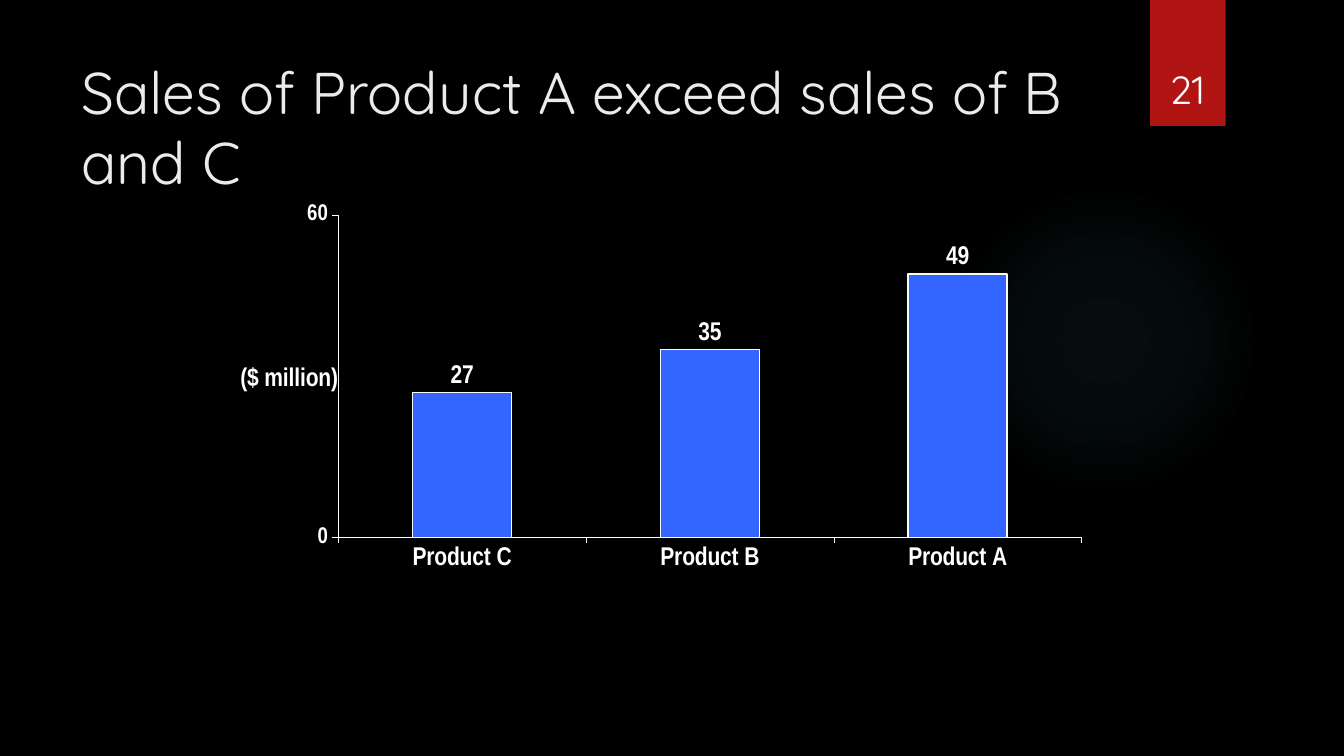
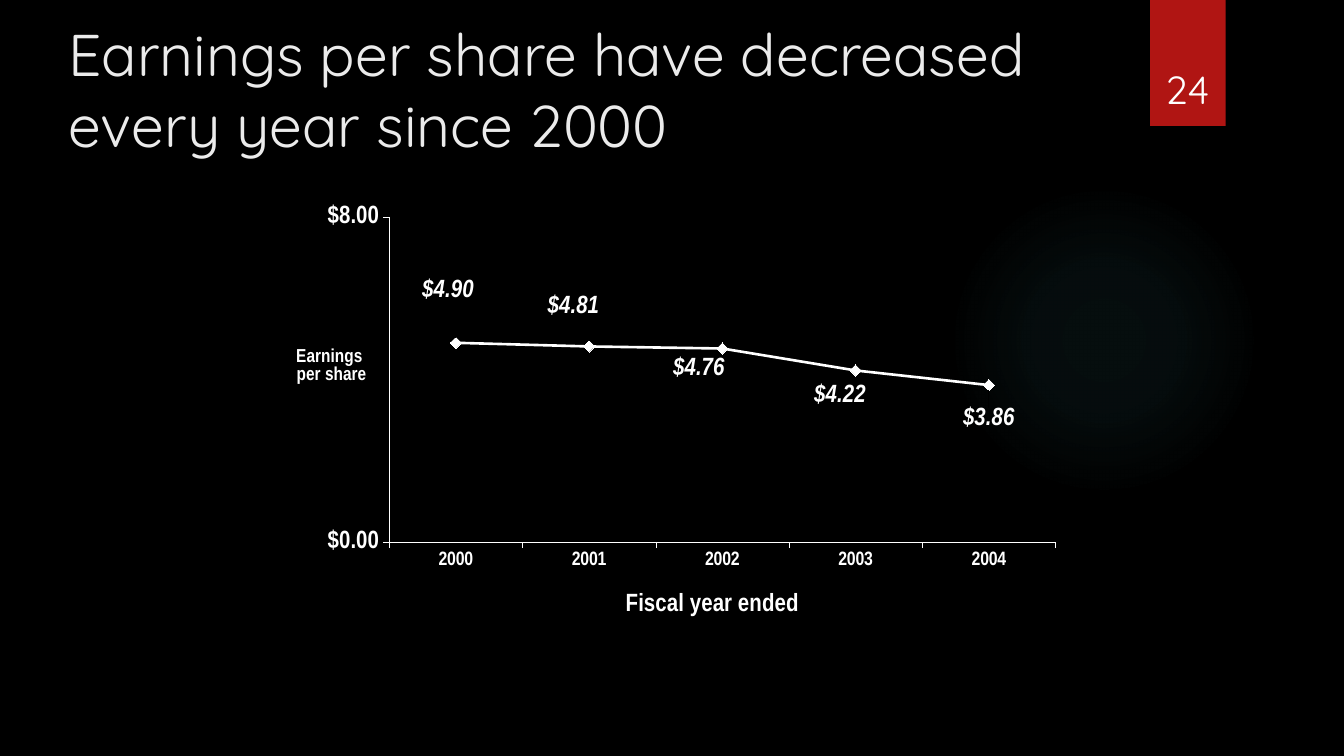
from dataclasses import dataclass

from lxml import etree
from pptx import Presentation
from pptx import util as u
from pptx.chart import data as chart_data
from pptx.dml.color import RGBColor
from pptx.enum import chart as ch
from pptx.enum import shapes, text
from pptx.oxml import parse_xml
from pptx.oxml.ns import nsdecls, qn

COLORS = {
    "background": "000000", "title": "EBEBEB", "white": "FFFFFF",
    "band": "B01513", "glow": "50B9C1", "bar": "3366FF",
}
HEAD_FONT, CHART_FONT = "Quicksand", "Arial Narrow"
GLOW_STOPS = ((0, 7), (36, 6), (69, 0))  # position and opacity, percent
DOLLARS = '"$"#,##0.00'


@dataclass(frozen=True)
class Box:
    left: float
    top: float
    width: float
    height: float

    def points(self) -> tuple:
        return tuple(u.Pt(v) for v in (self.left, self.top, self.width, self.height))


@dataclass(frozen=True)
class AxisTitle:
    wording: str
    size: float
    x: float
    y: float


@dataclass(frozen=True)
class AxisStyle:
    size: float
    line: float
    title: AxisTitle | None = None


@dataclass(frozen=True)
class PointLabel:
    position: ch.XL_LABEL_POSITION
    dx: float
    dy: float


@dataclass(frozen=True)
class ChartStyle:
    kind: ch.XL_CHART_TYPE
    box: Box
    plot: Box  # fractions of the chart
    categories: tuple
    values: tuple
    number_format: str
    maximum: float
    category_axis: AxisStyle
    value_axis: AxisStyle
    label_size: float


def rgb(name: str) -> RGBColor:
    return RGBColor.from_string(COLORS[name])


def style_font(font, name: str, size: float, color: str, bold: bool = False) -> None:
    font.name, font.size, font.bold = name, u.Pt(size), bold
    font.color.rgb = rgb(color)


# Shared page parts
def add_plain_shape(page, kind, box: Box):
    shape = page.shapes.add_shape(kind, *box.points())
    shape.shadow.inherit = False
    shape.line.fill.background()
    return shape


def add_text(page, box: Box, wording: str, size: float, color: str,
             anchor=text.MSO_ANCHOR.TOP, align=text.PP_ALIGN.LEFT) -> None:
    frame = page.shapes.add_textbox(*box.points()).text_frame
    frame.word_wrap = True
    frame.vertical_anchor = anchor
    frame.text = wording
    para = frame.paragraphs[0]
    para.alignment = align
    style_font(para.runs[0].font, HEAD_FONT, size, color)


def add_glow(page) -> None:
    glow = add_plain_shape(page, shapes.MSO_SHAPE.OVAL, Box(677.5, 131.8, 221.8, 221.8))
    glow.fill.background()
    stops = "".join(
        f'<a:gs pos="{position * 1000}"><a:srgbClr val="{COLORS["glow"]}">'
        f'<a:alpha val="{opacity * 1000}"/></a:srgbClr></a:gs>'
        for position, opacity in GLOW_STOPS)
    gradient = parse_xml(
        f'<a:gradFill {nsdecls("a")} rotWithShape="1"><a:gsLst>{stops}</a:gsLst>'
        '<a:path path="circle"><a:fillToRect l="50000" t="50000" r="50000" b="50000"/>'
        '</a:path></a:gradFill>')
    properties = glow.element.spPr
    properties.replace(properties.find(qn("a:noFill")), gradient)


def add_page(deck, title: str, title_left: float, title_top: float, number: int):
    page = deck.slides.add_slide(deck.slide_layouts[6])
    page.background.fill.solid()
    page.background.fill.fore_color.rgb = rgb("background")
    add_glow(page)
    band = add_plain_shape(page, shapes.MSO_SHAPE.RECTANGLE, Box(821.5, 0, 54, 90))
    band.fill.solid()
    band.fill.fore_color.rgb = rgb("band")
    add_text(page, Box(title_left, title_top, 740.9, 110.2), title, 42, "title")
    add_text(page, Box(815, 23, 66.2, 60.5), str(number), 28, "white",
             text.MSO_ANCHOR.BOTTOM, text.PP_ALIGN.CENTER)
    return page


# Chart parts
def set_layout(parent, index: int, **settings) -> None:
    for old in parent.findall(qn("c:layout")):
        parent.remove(old)
    layout = etree.Element(qn("c:layout"))
    manual = etree.SubElement(layout, qn("c:manualLayout"))
    for tag, value in settings.items():
        etree.SubElement(manual, qn(f"c:{tag}")).set("val", str(value))
    parent.insert(index, layout)


def style_axis(axis, style: AxisStyle) -> None:
    axis.has_major_gridlines = False
    axis.major_tick_mark = ch.XL_TICK_MARK.OUTSIDE
    axis.minor_tick_mark = ch.XL_TICK_MARK.NONE
    style_font(axis.tick_labels.font, CHART_FONT, style.size, "white", True)
    axis.format.line.color.rgb = rgb("white")
    axis.format.line.width = u.Pt(style.line)
    if style.title is None:
        axis.has_title = False
        return
    frame = axis.axis_title.text_frame
    frame.text = style.title.wording
    for para in frame.paragraphs:
        for span in para.runs:
            style_font(span.font, CHART_FONT, style.title.size, "white", True)
    body = frame._txBody.find(qn("a:bodyPr"))
    body.set("rot", "0")
    body.set("vert", "horz")
    set_layout(axis.axis_title._element, 1, xMode="edge", yMode="edge",
               x=style.title.x, y=style.title.y)


def add_styled_chart(page, style: ChartStyle):
    data = chart_data.CategoryChartData(number_format=style.number_format)
    data.categories = style.categories
    data.add_series("Series 1", style.values)
    chart = page.shapes.add_chart(style.kind, *style.box.points(), data).chart
    chart.has_legend = chart.has_title = False
    style_font(chart.font, CHART_FONT, style.label_size, "white", True)
    area = chart._chartSpace.chart.plotArea
    set_layout(area, 0, layoutTarget="inner", xMode="edge", yMode="edge",
               x=style.plot.left, y=style.plot.top, w=style.plot.width, h=style.plot.height)
    style_axis(chart.category_axis, style.category_axis)
    style_axis(chart.value_axis, style.value_axis)
    scale = chart.value_axis
    scale.minimum_scale, scale.maximum_scale = 0, style.maximum
    scale.major_unit = style.maximum
    scale.tick_labels.number_format = style.number_format
    scale.tick_labels.number_format_is_linked = False
    chart.plots[0].vary_by_categories = False
    series = chart.plots[0].series[0]
    labels = series.data_labels
    labels.show_value = True
    labels.number_format = style.number_format
    labels.number_format_is_linked = False
    style_font(labels.font, CHART_FONT, style.label_size, "white", True)
    return chart, series


# Slides
def add_sales_page(deck) -> None:
    page = add_page(deck, "Sales of Product A exceed sales of B and C", 51.1, 36, 21)
    chart, series = add_styled_chart(page, ChartStyle(
        kind=ch.XL_CHART_TYPE.COLUMN_CLUSTERED,
        box=Box(162, 131.8, 631.4, 340.6), plot=Box(0.126, 0.064, 0.841, 0.676),
        categories=("Product C", "Product B", "Product A"), values=(27, 35, 49),
        number_format="General", maximum=60,
        category_axis=AxisStyle(18.3, 0.25),
        value_axis=AxisStyle(16.2, 0.25, AxisTitle("($ million)", 18.3, 0.01, 0.37)),
        label_size=18.3))
    chart.plots[0].gap_width = 150
    series.data_labels.position = ch.XL_LABEL_POSITION.OUTSIDE_END
    series.format.fill.solid()
    series.format.fill.fore_color.rgb = rgb("bar")
    series.format.line.color.rgb = rgb("white")
    series.format.line.width = u.Pt(1)


def add_earnings_page(deck) -> None:
    page = add_page(deck, "Earnings per share have decreased every year since 2000",
                    41.8, 9.4, 24)
    _, series = add_styled_chart(page, ChartStyle(
        kind=ch.XL_CHART_TYPE.LINE_MARKERS,
        box=Box(203.8, 131.8, 558, 315.4), plot=Box(0.133, 0.073, 0.853, 0.737),
        categories=("2000", "2001", "2002", "2003", "2004"),
        values=(4.9, 4.81, 4.76, 4.22, 3.86), number_format=DOLLARS, maximum=8,
        category_axis=AxisStyle(13.8, 0.23, AxisTitle("Fiscal year ended", 17.8, 0.43, 0.91)),
        value_axis=AxisStyle(17.8, 0.23, AxisTitle("Earnings \nper share", 13.4, 0.01, 0.36)),
        label_size=17.8))
    series.smooth = False
    series.format.line.color.rgb = rgb("white")
    series.format.line.width = u.Pt(1.88)
    series.marker.style, series.marker.size = ch.XL_MARKER_STYLE.DIAMOND, 8
    series.marker.format.fill.solid()
    series.marker.format.fill.fore_color.rgb = rgb("title")
    series.marker.format.line.color.rgb = rgb("white")
    series.data_labels.font.italic = True

    # Labels moved off the line, as fractions of the chart
    above, below = ch.XL_LABEL_POSITION.ABOVE, ch.XL_LABEL_POSITION.BELOW
    placements = (
        PointLabel(above, -0.01, -0.07), PointLabel(above, -0.02, -0.04),
        PointLabel(below, -0.03, 0), PointLabel(below, -0.02, 0.01),
        PointLabel(below, 0, 0.03))
    for index, placement in enumerate(placements):
        label = series.points[index].data_label
        style_font(label.font, CHART_FONT, 17.8, "white", True)
        label.font.italic = True
        label.position = placement.position
    for element, placement in zip(series._element.iter(qn("c:dLbl")), placements):
        set_layout(element, 1, x=placement.dx, y=placement.dy)


def main() -> None:
    deck = Presentation()
    deck.slide_width, deck.slide_height = u.Pt(960), u.Pt(540)
    add_sales_page(deck)
    add_earnings_page(deck)
    deck.save("out.pptx")


if __name__ == "__main__":
    main()
